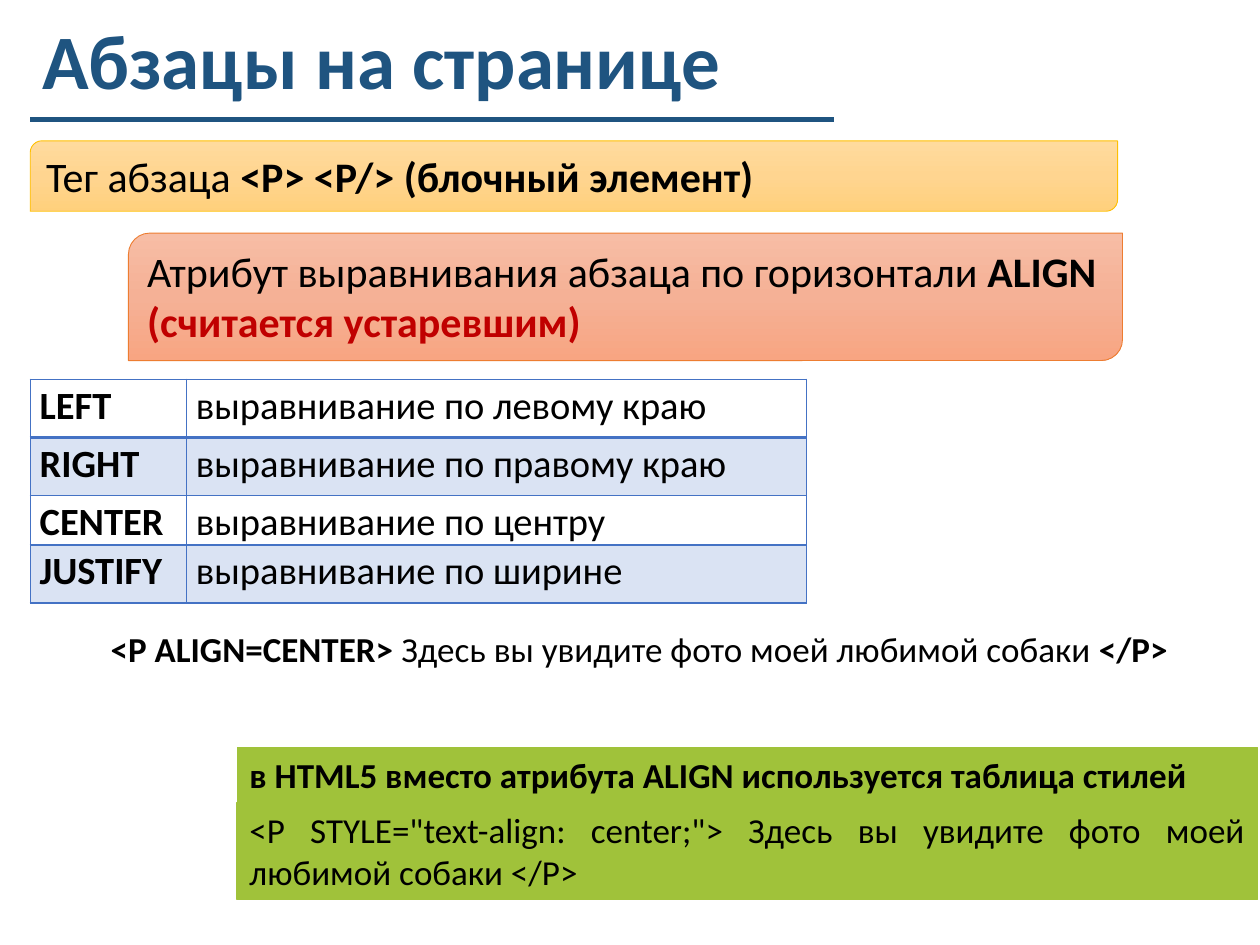
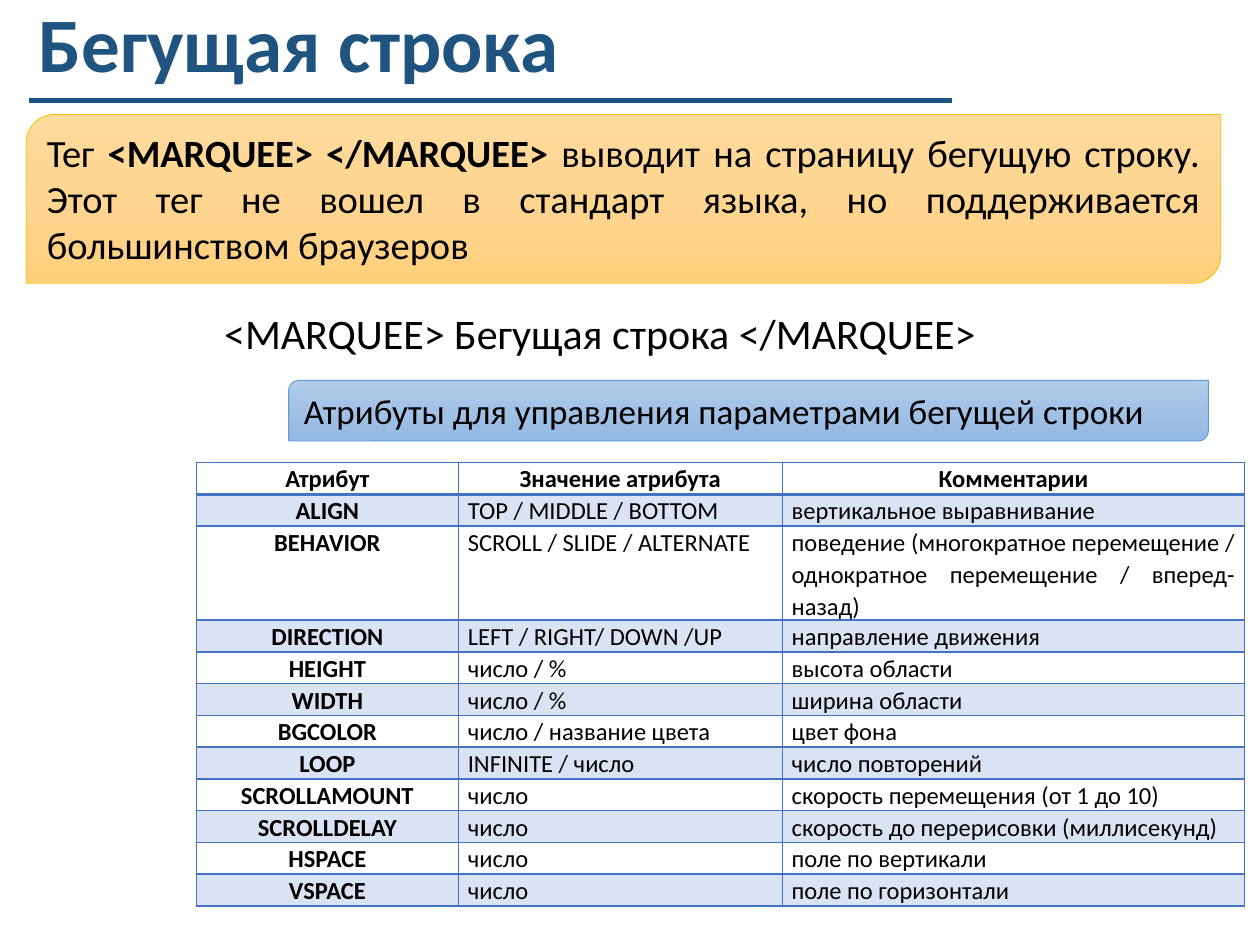
"""Build two slides on HTML paragraphs and the marquee tag."""
from copy import deepcopy
from dataclasses import dataclass
from typing import NamedTuple

from lxml import etree
from pptx import Presentation
from pptx.dml import color
from pptx.enum import shapes, text
from pptx.oxml import ns
from pptx.util import Cm, Pt

FONT = "Calibri"
BLACK, NAVY, RED, GREEN = "000000", "1F5480", "C00000", "A0C23A"
GRID, BAND = "4472C4", "DAE3F3"
LEFT, CENTER, JUSTIFY = text.PP_ALIGN.LEFT, text.PP_ALIGN.CENTER, text.PP_ALIGN.JUSTIFY


class Run(NamedTuple):
    """A piece of text in one style."""
    text: str
    bold: bool = False
    color: str = BLACK


class Look(NamedTuple):
    """Fill stops from top to bottom and the outline of a box."""
    fills: tuple[str, ...]
    line: str
    line_pt: float = 0.5
    preset: shapes.MSO_SHAPE = shapes.MSO_SHAPE.ROUND_2_DIAG_RECTANGLE


AMBER = Look(("FFDB9E", "FFD590", "FFD07C"), "FFC000")
CORAL = Look(("F7BDA5", "F5B196", "F8A582"), "ED7D31")
SKY = Look(("B1CBE9", "A3C1E5", "93B9E4"), "5B9BD5")
LIME = Look((GREEN,), GREEN, preset=shapes.MSO_SHAPE.RECTANGLE)


@dataclass
class Box:
    """One paragraph in a frame measured in centimetres, plain if it has no look."""
    left: float
    top: float
    width: float
    height: float
    size: float
    runs: list[Run]
    look: Look | None = None
    align: text.PP_ALIGN = LEFT


@dataclass
class Title:
    """Slide heading with the rule below it."""
    words: str
    left: float
    top: float
    width: float
    rule_left: float
    rule_right: float
    rule_top: float


@dataclass
class Grid:
    """Banded table with a bold first column."""
    left: float
    top: float
    cols: list[float]
    row_heights: list[float]
    size: float
    rows: list[tuple[str, ...]]
    aligns: list[text.PP_ALIGN]
    header_bold: bool = False


def rgb(value: str) -> color.RGBColor:
    """Turn a hex string into a colour."""
    return color.RGBColor.from_string(value)


def write(p, runs: list[Run], size: float, align=LEFT, spacing: float = 1.0) -> None:
    """Add runs to a paragraph."""
    p.alignment, p.line_spacing = align, spacing
    for run in runs:
        r = p.add_run()
        r.text = run.text
        r.font.name, r.font.size, r.font.bold = FONT, Pt(size), run.bold
        r.font.color.rgb = rgb(run.color)


def paint(sp, look: Look) -> None:
    """Fill and outline a shape."""
    sp.shadow.inherit = False
    sp.line.color.rgb, sp.line.width = rgb(look.line), Pt(look.line_pt)
    if len(look.fills) == 1:
        sp.fill.solid()
        sp.fill.fore_color.rgb = rgb(look.fills[0])
        return
    sp.fill.gradient()
    sp.fill.gradient_angle = 270
    first = sp._element.spPr.find(".//" + ns.qn("a:gs"))
    first.addnext(deepcopy(first))
    for i, (stop, fill) in enumerate(zip(sp.fill.gradient_stops, look.fills)):
        stop.position, stop.color.rgb = i / 2, rgb(fill)


def draw_box(s, box: Box, anchor=text.MSO_ANCHOR.TOP, spacing: float = 1.0) -> None:
    """Draw a text box or a filled shape with text."""
    frame = [Cm(v) for v in (box.left, box.top, box.width, box.height)]
    if box.look:
        sp = s.shapes.add_shape(box.look.preset, *frame)
        paint(sp, box.look)
    else:
        sp = s.shapes.add_textbox(*frame)
    tf = sp.text_frame
    tf.word_wrap, tf.vertical_anchor = True, anchor
    write(tf.paragraphs[0], box.runs, box.size, box.align, spacing)


def draw_title(s, title: Title) -> None:
    """Draw the heading and its rule."""
    heading = Box(title.left, title.top, title.width, 2.62, 44, [Run(title.words, True, NAVY)])
    draw_box(s, heading, text.MSO_ANCHOR.MIDDLE, 0.9)
    y = Cm(title.rule_top)
    rule = s.shapes.add_connector(shapes.MSO_CONNECTOR.STRAIGHT,
                                  Cm(title.rule_left), y, Cm(title.rule_right), y)
    rule.line.color.rgb, rule.line.width = rgb(NAVY), Pt(3)
    etree.SubElement(rule._element.spPr, ns.qn("a:effectLst"))


def set_borders(cell, top: float, bottom: float) -> None:
    """Give a cell its four borders, in points."""
    sides = {"L": 1, "R": 1, "T": top, "B": bottom}
    for i, (side, width) in enumerate(sides.items()):
        ln = etree.Element(ns.qn(f"a:ln{side}"), w=str(Pt(width)))
        fill = etree.SubElement(ln, ns.qn("a:solidFill"))
        etree.SubElement(fill, ns.qn("a:srgbClr"), val=GRID)
        cell._tc.get_or_add_tcPr().insert(i, ln)


def draw_grid(s, grid: Grid) -> None:
    """Draw a banded table."""
    table = s.shapes.add_table(len(grid.rows), len(grid.cols), Cm(grid.left), Cm(grid.top),
                               Cm(sum(grid.cols)), Cm(sum(grid.row_heights))).table
    table.first_row = table.horz_banding = False
    for col, width in zip(table.columns, grid.cols):
        col.width = Cm(width)
    for i, (row, height) in enumerate(zip(grid.rows, grid.row_heights)):
        table.rows[i].height = Cm(height)
        header = grid.header_bold and i == 0
        for j, words in enumerate(row):
            cell = table.cell(i, j)
            cell.margin_left = cell.margin_right = Cm(0.19)
            cell.margin_top = cell.margin_bottom = 0
            if i % 2:
                cell.fill.solid()
                cell.fill.fore_color.rgb = rgb(BAND)
            else:
                cell.fill.background()
            set_borders(cell, 2 if i == 1 else 1, 2 if i == 0 else 1)
            write(cell.text_frame.paragraphs[0], [Run(words, header or j == 0)], grid.size,
                  CENTER if header else grid.aligns[j], 1.07)


PARAGRAPHS = [
    Title("Абзацы на странице", 0.61, 0, 19.15, 0.61, 16.81, 2.41),
    Box(0.61, 2.84, 21.92, 1.42, 24,
        [Run("Тег абзаца "), Run("<P> <P/> (блочный элемент)", True)], AMBER),
    Grid(0.61, 7.65, [3.15, 12.5], [1.17, 1.17, 0.94, 1.17], 22, [
        ("LEFT", "выравнивание по левому краю"),
        ("RIGHT", "выравнивание по правому краю"),
        ("CENTER", "выравнивание по центру"),
        ("JUSTIFY", "выравнивание по ширине"),
    ], [LEFT, LEFT]),
    Box(2.59, 4.7, 20.04, 2.57, 24,
        [Run("Атрибут выравнивания абзаца по горизонтали "), Run("ALIGN ", True),
         Run("(считается устаревшим)", True, RED)], CORAL),
    Box(1.98, 12.52, 22.1, 1.12, 20,
        [Run("<P ALIGN=CENTER> ", True), Run("Здесь вы увидите фото моей любимой собаки "),
         Run("</P>", True)]),
    Box(4.78, 15.06, 20.57, 1.12, 20,
        [Run("в HTML5 вместо атрибута ALIGN используется таблица стилей", True)], LIME),
    Box(4.78, 16.18, 20.57, 1.96, 20,
        [Run('<P STYLE="text-align: center;"> Здесь вы увидите фото моей любимой собаки </P>')],
        LIME._replace(line_pt=0.75), JUSTIFY),
]

MARQUEE = [
    Title("Бегущая строка", 0.53, -0.36, 20.47, 0.58, 19.2, 2.03),
    Box(0.53, 2.31, 24.08, 3.4, 22,
        [Run("Тег "), Run("<MARQUEE> </MARQUEE> ", True),
         Run("выводит на страницу бегущую строку. Этот тег не вошел в стандарт языка, "
             "но поддерживается большинством браузеров")], AMBER, JUSTIFY),
    Box(4.27, 6.07, 15.8, 1.27, 24, [Run("<MARQUEE> Бегущая строка </MARQUEE>")]),
    Box(5.82, 7.67, 18.54, 1.22, 20,
        [Run("Атрибуты для управления параметрами бегущей строки")], SKY),
    Grid(3.96, 9.32, [5.28, 6.53, 9.32], [0.64] * 2 + [1.9] + [0.64] * 9, 14, [
        ("Атрибут", "Значение атрибута", "Комментарии"),
        ("ALIGN", "TOP / MIDDLE / BOTTOM", "вертикальное выравнивание"),
        ("BEHAVIOR", "SCROLL / SLIDE / ALTERNATE",
         "поведение (многократное перемещение / однократное перемещение / вперед-назад)"),
        ("DIRECTION", "LEFT / RIGHT/ DOWN /UP", "направление движения"),
        ("HEIGHT", "число / %", "высота области"),
        ("WIDTH", "число / %", "ширина области"),
        ("BGCOLOR", "число / название цвета", "цвет фона"),
        ("LOOP", "INFINITE / число", "число повторений"),
        ("SCROLLAMOUNT", "число", "скорость перемещения (от 1 до 10)"),
        ("SCROLLDELAY", "число", "скорость до перерисовки (миллисекунд)"),
        ("HSPACE", "число", "поле по вертикали"),
        ("VSPACE", "число", "поле по горизонтали"),
    ], [CENTER, JUSTIFY, JUSTIFY], header_bold=True),
]

DRAW = {Title: draw_title, Box: draw_box, Grid: draw_grid}


def main() -> None:
    """Build and save the presentation."""
    prs = Presentation()
    prs.slide_width, prs.slide_height = Cm(25.4), Cm(19.05)
    for items in (PARAGRAPHS, MARQUEE):
        s = prs.slides.add_slide(prs.slide_layouts[6])
        for item in items:
            DRAW[type(item)](s, item)
    prs.save("out.pptx")


if __name__ == "__main__":
    main()
